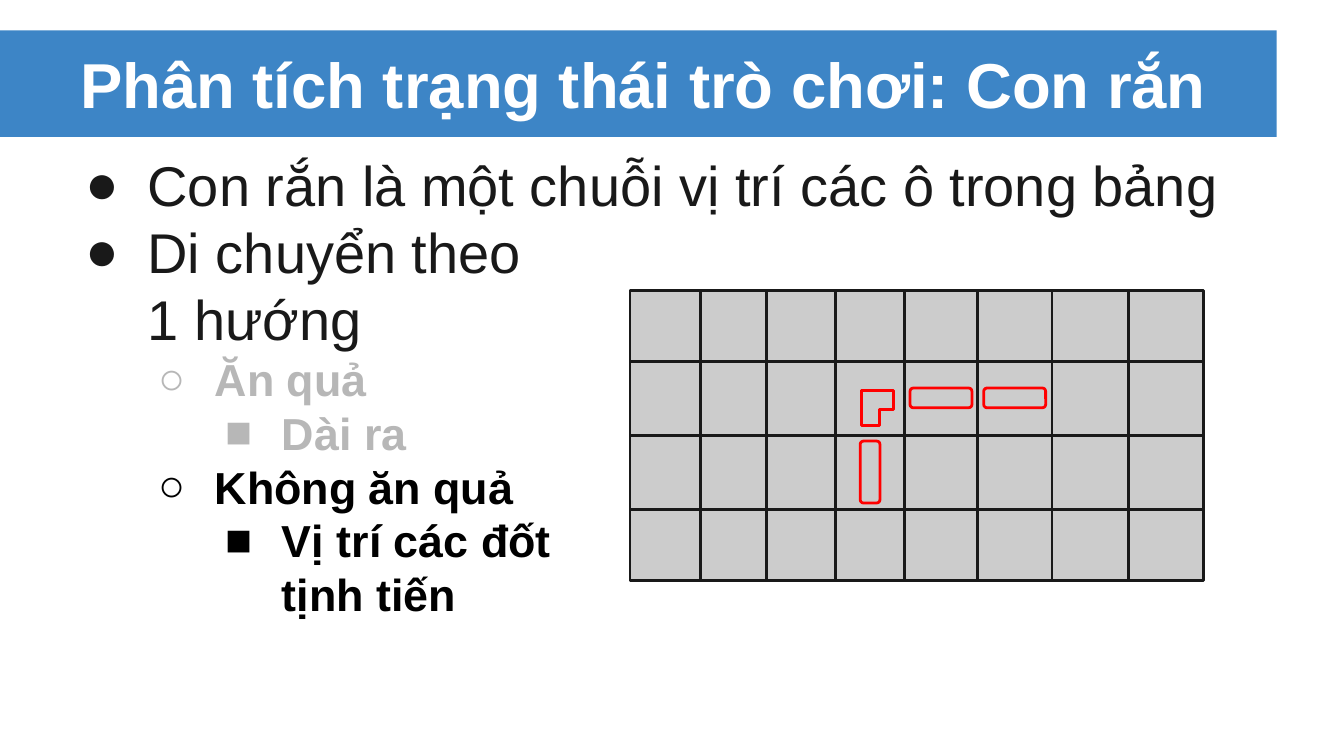
import pptx
import pptx.dml.color
import pptx.enum.shapes
import pptx.enum.text
import pptx.oxml.ns
import pptx.util
from lxml import etree

Pt = pptx.util.Pt
qn = pptx.oxml.ns.qn
SHAPE = pptx.enum.shapes.MSO_SHAPE
theme = {
    "font": "Arial",
    "banner": "3D85C6", "title": "FFFFFF", "ink": "191919",
    "muted": "B7B7B7", "strong": "000000", "board": "CCCCCC", "snake": "FF0000",
    "title_size": 34, "main_size": 30, "sub_size": 24, "stroke": 1.5,
}


def color(name):
    return pptx.dml.color.RGBColor.from_string(theme[name])


def add_block(kind, left, top, width, height, fill=None, line=None):
    block = slide.shapes.add_shape(kind, Pt(left), Pt(top), Pt(width), Pt(height))
    block.shadow.inherit = False
    if fill:
        block.fill.solid()
        block.fill.fore_color.rgb = color(fill)
    else:
        block.fill.background()
    if line:
        block.line.color.rgb = color(line)
        block.line.width = Pt(theme["stroke"])
    else:
        block.line.fill.background()
    return block


deck = pptx.Presentation()
deck.slide_width = Pt(720)
deck.slide_height = Pt(405)
slide = deck.slides.add_slide(deck.slide_layouts[6])

add_block(SHAPE.RECTANGLE, 0, 16.3, 684, 57, fill="banner")

frames = []
for top, height in ((16.3, 57), (73.3, 315)):
    frame = slide.shapes.add_textbox(Pt(36), Pt(top), Pt(648), Pt(height)).text_frame
    frame.word_wrap = True
    frame.margin_left = frame.margin_right = Pt(7.2)
    frame.margin_top = frame.margin_bottom = Pt(7.2)
    frames.append(frame)
heading, outline = frames

heading.vertical_anchor = pptx.enum.text.MSO_ANCHOR.MIDDLE
title = heading.paragraphs[0].add_run()
title.text = "Phân tích trạng thái trò chơi: Con rắn"
title.font.name = theme["font"]
title.font.size = Pt(theme["title_size"])
title.font.bold = True
title.font.color.rgb = color("title")

points = [
    (0, "ink", ["Con rắn là một chuỗi vị trí các ô trong bảng"]),
    (0, "ink", ["Di chuyển theo", "1 hướng"]),
    (1, "muted", ["Ăn quả"]),
    (2, "muted", ["Dài ra"]),
    (1, "strong", ["Không ăn quả"]),
    (2, "strong", ["Vị trí các đốt", "tịnh tiến"]),
]
for index, (level, ink, lines) in enumerate(points):
    point = outline.add_paragraph() if index else outline.paragraphs[0]
    point.level = level
    properties = point._p.get_or_add_pPr()
    properties.set("marL", str(Pt(36 * (level + 1))))
    properties.set("indent", str(-Pt(30 if level else 33)))
    bullet_color = etree.SubElement(properties, qn("a:buClr"))
    etree.SubElement(bullet_color, qn("a:srgbClr"), val=theme[ink])
    etree.SubElement(properties, qn("a:buFont"), typeface=theme["font"])
    etree.SubElement(properties, qn("a:buChar"), char="●○■"[level])
    for number, words in enumerate(lines):
        if number:
            point.add_line_break()
        run = point.add_run()
        run.text = words
        run.font.name = theme["font"]
        run.font.size = Pt(theme["sub_size" if level else "main_size"])
        run.font.bold = level > 0
        run.font.color.rgb = color(ink)

left, top, width, height = 337.5, 155.5, 307.3, 155.5
right, bottom = left + width, top + height
add_block(SHAPE.RECTANGLE, left, top, width, height, fill="board", line="ink")

columns = [375.2, 410.6, 447.4, 484.6, 523.6, 563.6, 604.4]
rows = [193.5 + 39.8 * step for step in range(3)]
grid = [(x, top + 0.7, x, bottom) for x in columns]
grid += [(left, y, right, y) for y in rows]
for x1, y1, x2, y2 in grid:
    rule = slide.shapes.add_connector(
        pptx.enum.shapes.MSO_CONNECTOR.STRAIGHT, Pt(x1), Pt(y1), Pt(x2), Pt(y2))
    rule.line.color.rgb = color("ink")
    rule.line.width = Pt(theme["stroke"])
    etree.SubElement(rule._element.spPr, qn("a:effectLst"))

snake = [
    (SHAPE.ROUNDED_RECTANGLE, 487.5, 207.9, 33.2, 10.6, 0, [0.167]),
    (SHAPE.ROUNDED_RECTANGLE, 449.5, 247.6, 33.2, 10.6, 90, [0.167]),
    (SHAPE.CORNER, 460.8, 209.9, 18.8, 17.3, 90, [0.556, 0.6]),
    (SHAPE.ROUNDED_RECTANGLE, 527, 207.9, 33.2, 10.6, 0, [0.167]),
]
for kind, x, y, length, thickness, angle, bends in snake:
    segment = add_block(kind, x, y, length, thickness, line="snake")
    segment.rotation = angle
    for position, bend in enumerate(bends):
        segment.adjustments[position] = bend

deck.save("out.pptx")
